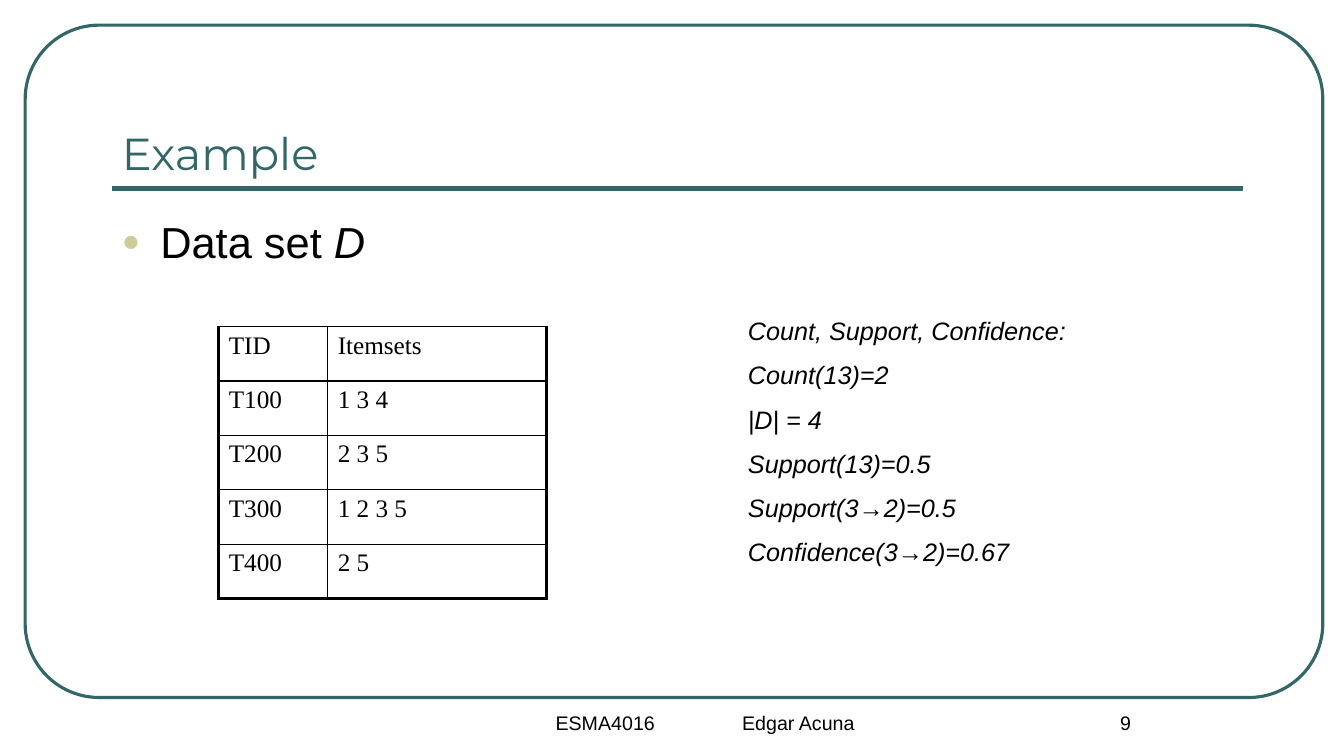
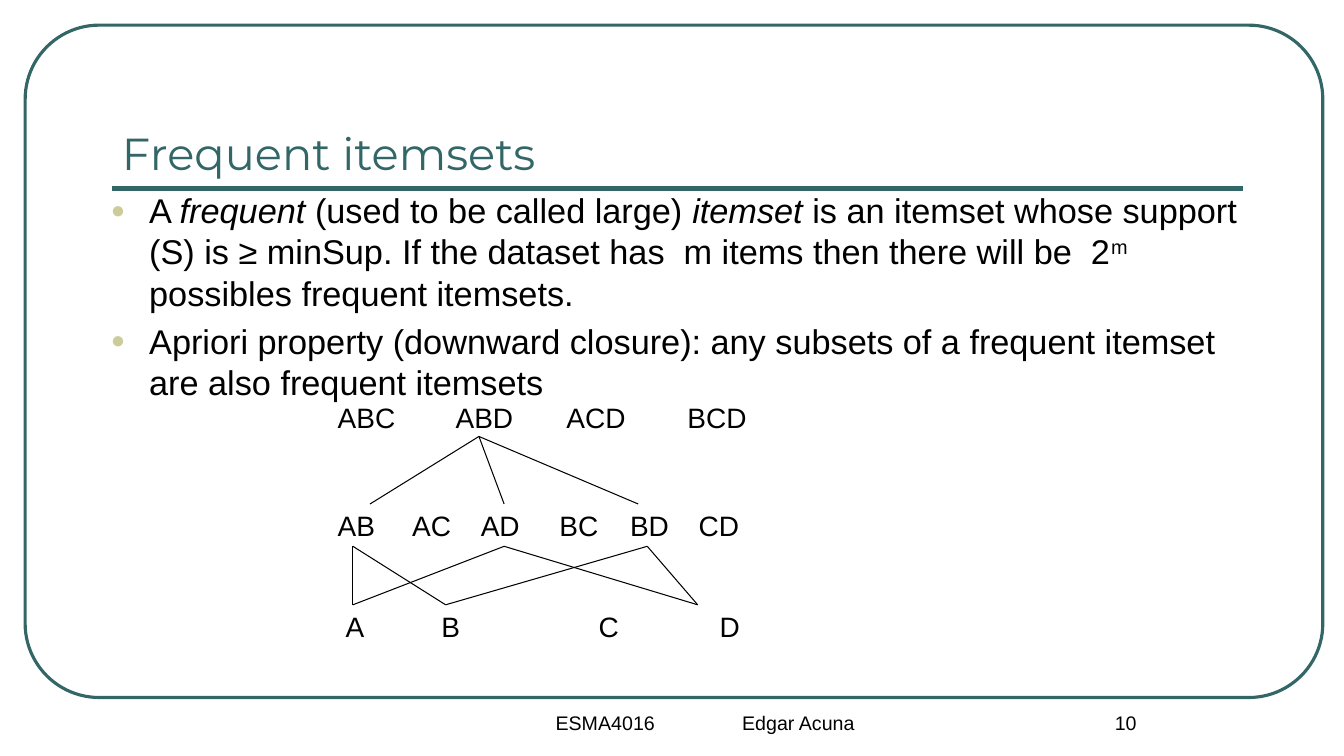
import pptx
import pptx.util
import pptx.dml.color
import pptx.enum.shapes
import pptx.enum.text
import pptx.oxml
import pptx.oxml.ns
import lxml.etree

Inches = pptx.util.Inches
Pt = pptx.util.Pt
qn = pptx.oxml.ns.qn
ALIGN = pptx.enum.text.PP_ALIGN
ANCHOR = pptx.enum.text.MSO_ANCHOR
AUTO = pptx.enum.text.MSO_AUTO_SIZE

COLORS = {"teal": "336666", "olive": "CCCC99", "text": "000000"}
SANS, SERIF, DISPLAY = "Arial", "Times New Roman", "Montserrat"


def rgb(name):
    return pptx.dml.color.RGBColor.from_string(COLORS[name])


def child(parent, tag, **attrs):
    el = lxml.etree.SubElement(parent, qn(tag))
    for key, value in attrs.items():
        el.set(key, str(value))
    return el


def style_runs(p, size, font=SANS, color="text", italic=False):
    for r in p.runs:
        r.font.size = Pt(size)
        r.font.name = font
        r.font.color.rgb = rgb(color)
        r.font.italic = italic


def place(sp, left, top, width, height):
    sp.left, sp.top = Inches(left), Inches(top)
    sp.width, sp.height = Inches(width), Inches(height)


def add_rule(slide, start, end, color="text", width=0.75):
    line = slide.shapes.add_connector(
        pptx.enum.shapes.MSO_CONNECTOR.STRAIGHT,
        *(Inches(v) for v in (*start, *end)))
    line.line.color.rgb = rgb(color)
    line.line.width = Pt(width)
    child(line._element.spPr, "a:effectLst")
    return line


def add_text(slide, box, lines, size, italic=False, before=0,
             align=ALIGN.LEFT, tabs=(), inset=0.1):
    sp = slide.shapes.add_textbox(*(Inches(v) for v in box))
    tf = sp.text_frame
    tf.word_wrap = True
    tf.margin_left = Inches(inset)
    tf.text = "\n".join(lines)
    for p in tf.paragraphs:
        p.alignment = align
        p.space_before = Pt(before)
        style_runs(p, size, italic=italic)
        if tabs:
            stops = child(p._p.get_or_add_pPr(), "a:tabLst")
            for pos in tabs:
                child(stops, "a:tab", pos=Inches(pos), algn="l")


def add_bullet(p, runs, size):
    for text, _ in runs:
        p.add_run().text = text
    style_runs(p, size)
    for r, (_, kind) in zip(p.runs, runs):
        r.font.italic = kind == "italic"
        if kind == "super":
            r.font._element.set("baseline", "30000")
    p.space_before = Pt(size * 0.2)
    pPr = p._p.get_or_add_pPr()
    pPr.set("marL", str(Inches(0.38)))
    pPr.set("indent", str(-Inches(0.38)))
    child(child(pPr, "a:buClr"), "a:srgbClr", val=COLORS["olive"])
    child(pPr, "a:buSzPct", val=70000)
    child(pPr, "a:buFont", typeface=SANS)
    child(pPr, "a:buChar", char="●")


def set_borders(cell, widths):
    tcPr = cell._tc.get_or_add_tcPr()
    for i, (side, width) in enumerate(widths.items()):
        ln = child(tcPr, "a:ln" + side, w=Pt(width))
        child(child(ln, "a:solidFill"), "a:srgbClr", val=COLORS["text"])
        tcPr.remove(ln)
        tcPr.insert(i, ln)


def add_grid(slide, left, top, widths, row_height, rows):
    frame = slide.shapes.add_table(
        len(rows), len(widths), Inches(left), Inches(top),
        Inches(sum(widths)), Inches(row_height * len(rows)))
    table = frame.table
    table.first_row = table.horz_banding = False
    for col, width in zip(table.columns, widths):
        col.width = Inches(width)
    for i, values in enumerate(rows):
        table.rows[i].height = Inches(row_height)
        for j, value in enumerate(values):
            cell = table.cell(i, j)
            cell.text = value
            p = cell.text_frame.paragraphs[0]
            p.space_before = Pt(3.6)
            style_runs(p, 18, SERIF)
            cell.fill.background()
            set_borders(cell, {
                "L": 2.25 if j == 0 else 1,
                "R": 2.25 if j == len(widths) - 1 else 1,
                "T": 1,
                "B": 2.25 if i == len(rows) - 1 else 1})


def decorate_layout(slide):
    frame = slide.shapes.add_shape(
        pptx.enum.shapes.MSO_SHAPE.ROUNDED_RECTANGLE,
        Inches(0.25), Inches(0.25), Inches(12.87), Inches(6.67))
    frame.adjustments[0] = 0.11
    frame.shadow.inherit = False
    frame.fill.background()
    frame.line.color.rgb = rgb("teal")
    frame.line.width = Pt(2.25)
    rule = add_rule(slide, (1.11, 1.87), (12.33, 1.87), "teal", 3)
    tree = slide.slide_layout.shapes._spTree
    for i, sp in enumerate((frame, rule)):
        tree.insert(2 + i, sp._element)


def add_slide(prs, title, number, body_box, bullets, size):
    s = prs.slides.add_slide(prs.slide_layouts[1])
    place(s.shapes.title, 1.11, 0.58, 11.22, 1.25)
    tf = s.shapes.title.text_frame
    tf.text = title
    tf.auto_size = AUTO.NONE
    tf.vertical_anchor = ANCHOR.BOTTOM
    tf.paragraphs[0].alignment = ALIGN.LEFT
    style_runs(tf.paragraphs[0], 32, DISPLAY, "teal")

    body = s.placeholders[1]
    place(body, *body_box)
    tf = body.text_frame
    tf.auto_size = AUTO.NONE
    for i, runs in enumerate(bullets):
        p = tf.add_paragraph() if i else tf.paragraphs[0]
        add_bullet(p, runs, size)

    add_text(s, (4.89, 7, 4.22, 0.5), ["ESMA4016\tEdgar Acuna"], 14,
             tabs=[1.85], inset=0.62)
    add_text(s, (10, 7, 2.33, 0.5), [str(number)], 14, align=ALIGN.CENTER)
    return s


def build_example(prs):
    s = add_slide(prs, "Example", 9, (1.11, 2.08, 11.22, 4.42),
                  [[("Data set ", ""), ("D", "italic")]], 31)
    add_text(s, (7.32, 3.08, 3.58, 2.68), [
        "Count, Support, Confidence:", "Count(13)=2", "|D| = 4",
        "Support(13)=0.5", "Support(3→2)=0.5", "Confidence(3→2)=0.67",
    ], 18, italic=True, before=10)
    add_grid(s, 2.17, 3.24, (1.08, 2.17), 0.54, [
        ("TID", "Itemsets"), ("T100", "1 3 4"), ("T200", "2 3 5"),
        ("T300", "1 2 3 5"), ("T400", "2 5")])
    return s


def build_itemsets(prs):
    s = add_slide(prs, "Frequent itemsets", 10, (1, 1.83, 11.47, 1.75), [
        [("A ", ""), ("frequent ", "italic"),
         ("(used to be called large) ", ""), ("itemset", "italic"),
         (" is an itemset whose support (S) is ≥ minSup. If the dataset "
          "has  m items then there will be  2", ""),
         ("m ", "super"), ("possibles frequent itemsets.", "")],
        [("Apriori property (downward closure): any subsets of a frequent "
          "itemset are also frequent itemsets", "")],
    ], 24.5)
    levels = [
        ((3.25, 5, 4.42, 0.43), "AB AC AD BC BD CD",
         (0.74, 1.42, 2.2, 2.9, 3.58)),
        ((3.33, 6, 4.13, 0.44), "A B C D", (0.95, 2.51, 3.71)),
        ((3.25, 3.92, 4.29, 0.44), "ABC ABD ACD BCD", (1.17, 2.27, 3.47)),
    ]
    for box, names, tabs in levels:
        add_text(s, box, ["\t".join(names.split())], 20, tabs=tabs)

    for x in (3.67, 5, 6.33):
        add_rule(s, (4.75, 4.33), (x, 5))
    items = {"A": 3.5, "B": 4.42, "D": 6.92}
    pairs = {"AB": 3.5, "AD": 5, "BD": 6.42}
    for pair, x in pairs.items():
        for item in pair:
            add_rule(s, (x, 5.42), (items[item], 6))


def main():
    prs = pptx.Presentation()
    prs.slide_width, prs.slide_height = Inches(13.33), Inches(7.5)
    decorate_layout(build_example(prs))
    build_itemsets(prs)
    prs.save("out.pptx")


main()
